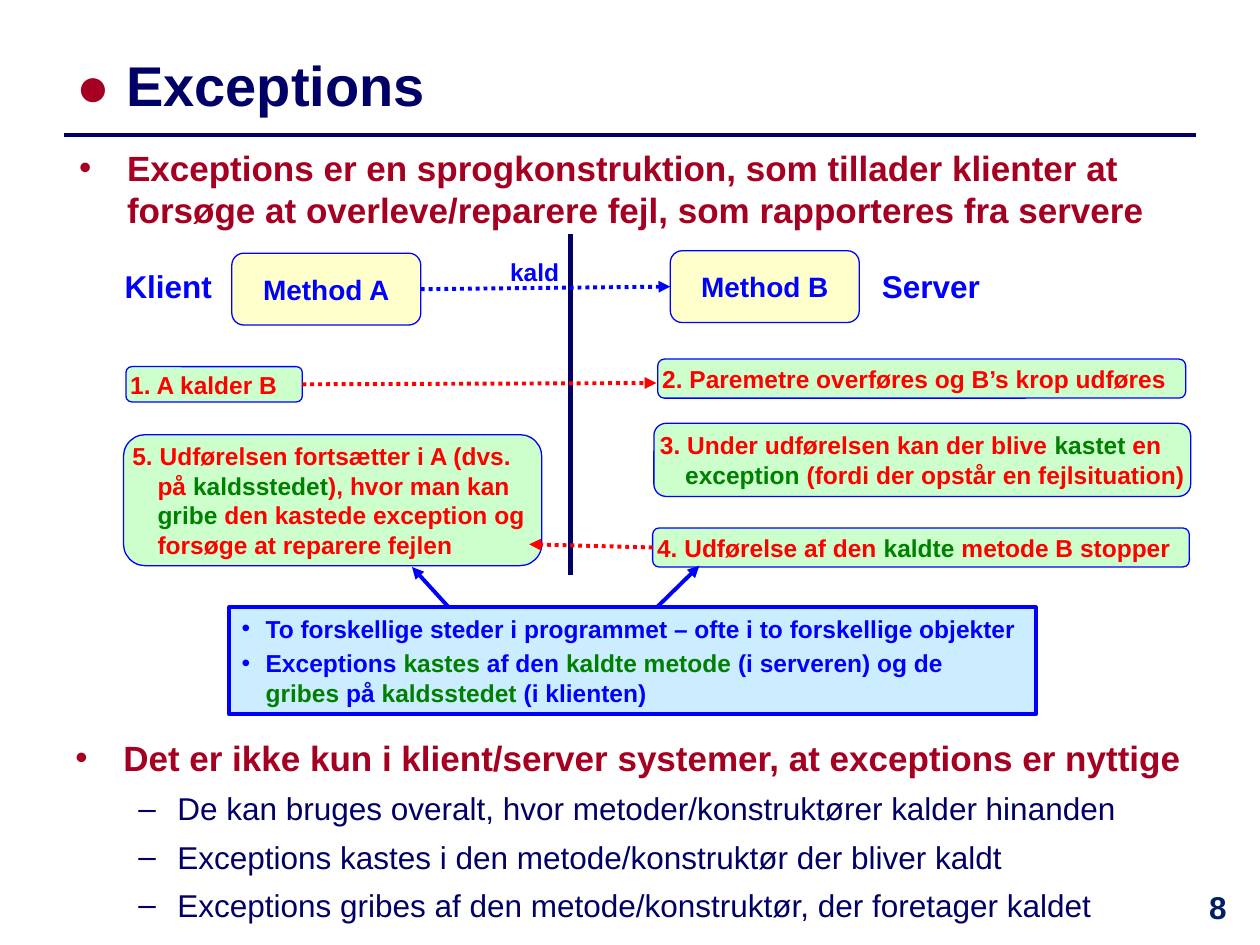
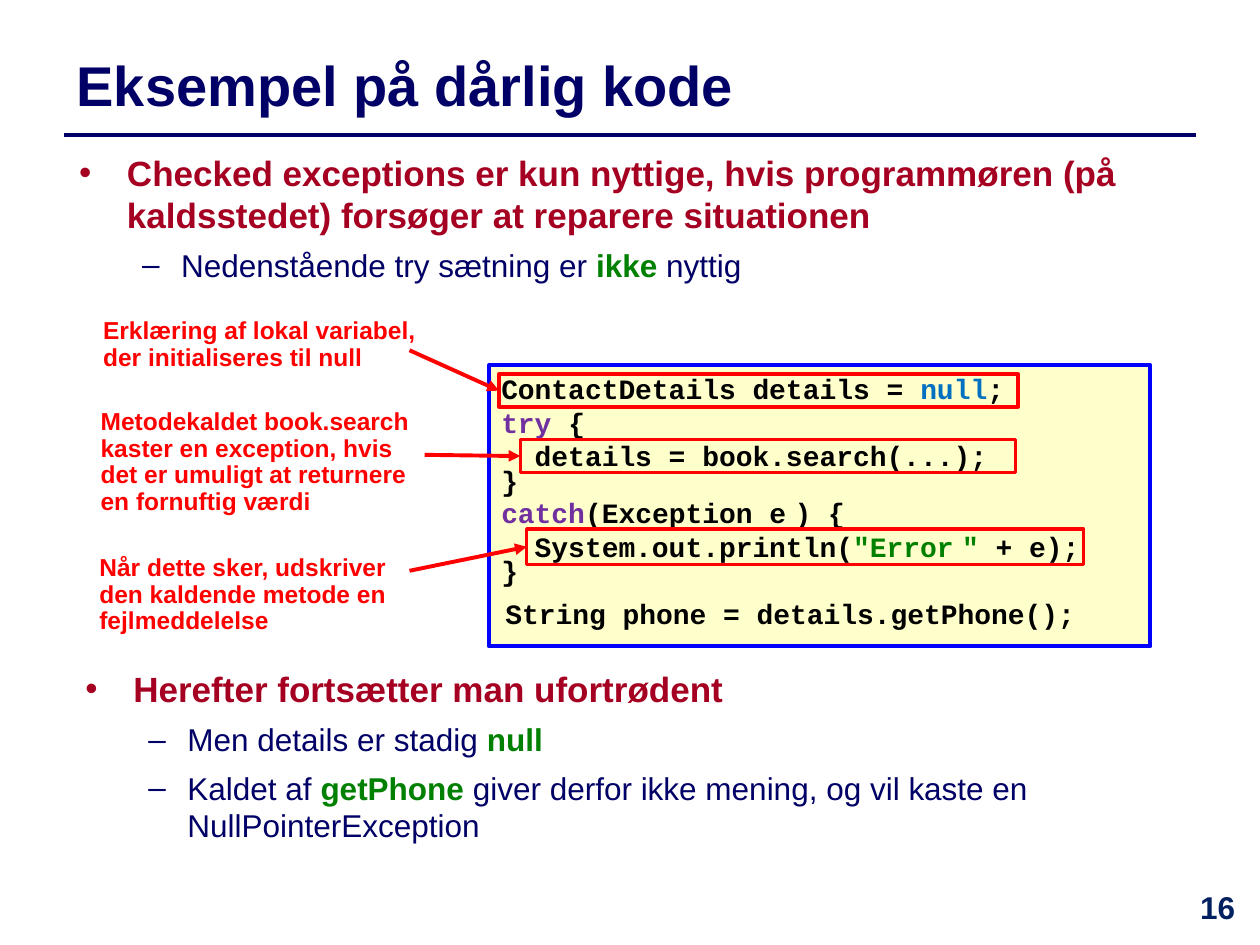
from lxml.etree import SubElement
from pptx import Presentation
from pptx.dml.color import RGBColor
from pptx.enum.dml import MSO_LINE
from pptx.enum.shapes import MSO_CONNECTOR, MSO_SHAPE
from pptx.enum.text import MSO_ANCHOR, PP_ALIGN
from pptx.oxml.ns import qn
from pptx.util import Inches, Pt

THEME = {
    "colours": {
        "navy": "000066", "number": "002060", "crimson": "A50021", "blue": "0000FF",
        "red": "FF0000", "green": "008000", "black": "000000", "null": "0070C0",
        "keyword": "7030A0", "mint": "CCFFCC", "cream": "FFFFCC", "sky": "CCECFF",
    },
    "fonts": {"body": "Arial", "code": "Courier New"},
    # Each style: size, colour, bold, then paragraph settings
    "styles": {
        "title": {"size": 32, "colour": "navy", "bold": True},
        "number": {"size": 18, "colour": "number", "bold": True, "align": PP_ALIGN.CENTER},
        "point": {"size": 20, "colour": "crimson", "bold": True, "before": 12,
                  "indent": (0.38, -0.38), "bullet": "•"},
        "sub": {"size": 18, "colour": "navy", "bold": False, "before": 6,
                "indent": (0.81, -0.31), "bullet": "–"},
        "note": {"size": 14, "colour": "blue", "bold": True, "before": 3,
                 "indent": (0.19, -0.19), "bullet": "•"},
        "step": {"size": 14, "colour": "red", "bold": True, "indent": (0.2, -0.2)},
        "method": {"size": 16, "colour": "blue", "bold": True, "align": PP_ALIGN.CENTER},
        "role": {"size": 18, "colour": "blue", "bold": True},
        "call": {"size": 14, "colour": "blue", "bold": True},
        "callout": {"size": 14, "colour": "red", "bold": True, "spacing": 0.9},
        "code": {"size": 16, "colour": "black", "bold": True, "font": "code"},
        "brace": {"size": 16, "colour": "black", "bold": True, "font": "code", "spacing": 0.7},
        "after": {"size": 16, "colour": "black", "bold": True, "font": "code", "before": 6},
    },
    # Overrides for single spans
    "spans": {
        "bullet": {"colour": "crimson"},
        "green": {"colour": "green", "bold": True},
        "null": {"colour": "null"},
        "keyword": {"colour": "keyword"},
        "thin": {"size": 8},
        "hair": {"size": 4},
    },
}

# A paragraph is (style, span, span ...); a span is text or (text, override).
EXCEPTIONS = {
    "title": ("title", ("● ", "bullet"), "Exceptions"),
    "number": "8",
    "lists": [
        ((0.53, 1.11, 9.19, 0.77), [
            ("point", "Exceptions er en sprogkonstruktion, som tillader klienter at forsøge "
                      "at overleve/reparere fejl, som rapporteres fra servere")]),
        ((0.5, 5.8, 9.19, 1.73), [
            ("point", "Det er ikke kun i klient/server systemer, at exceptions er nyttige"),
            ("sub", "De kan bruges overalt, hvor metoder/konstruktører kalder hinanden"),
            ("sub", "Exceptions kastes i den metode/konstruktør der bliver kaldt"),
            ("sub", "Exceptions gribes af den metode/konstruktør, der foretager kaldet")]),
    ],
}
LABELS = [
    ((0.89, 2.07, 0.93, 0.4), ("role", "Klient")),
    ((6.9, 2.07, 1.01, 0.4), ("role", "Server")),
    ((3.95, 1.99, 0.63, 0.34), ("call", "kald")),
]
METHODS = [
    ((1.84, 2.01, 1.5, 0.57), ("method", "Method A")),
    ((5.32, 1.99, 1.5, 0.57), ("method", "Method B")),
]
STEPS = [
    ((1, 2.91, 1.4, 0.28), ("step", "1. A kalder B")),
    ((5.22, 2.85, 4.19, 0.31), ("step", "2. Paremetre overføres og B’s krop udføres")),
    ((5.19, 3.36, 4.26, 0.58), (
        "step", "3. Under udførelsen kan der blive ", ("kastet", "green"), " en ",
        ("exception", "green"), " (fordi der opstår en fejlsituation)")),
    ((5.18, 4.19, 4.26, 0.31), (
        "step", "4. Udførelse af den ", ("kaldte", "green"), " metode B stopper")),
    ((0.98, 3.45, 3.32, 1.04), (
        "step", "5. Udførelsen fortsætter i A (dvs. på ", ("kaldsstedet", "green"),
        "), hvor man kan ", ("gribe", "green"),
        " den kastede exception og forsøge at reparere fejlen")),
]
DIVIDER = ((4.53, 1.86), (4.53, 4.56))
NOTE_ARROWS = [((5.07, 4.96), (5.55, 4.49)), ((3.68, 4.95), (3.27, 4.5))]
NOTE = ((1.82, 4.82, 6.4, 0.85), [
    ("note", "To forskellige steder i programmet – ofte i to forskellige objekter"),
    ("note", "Exceptions ", ("kastes", "green"), " af den ", ("kaldte metode", "green"),
     " (i serveren) og de ", ("gribes", "green"), " på ", ("kaldsstedet", "green"),
     " (i klienten)"),
])

BAD_CODE = {
    "title": ("title", "Eksempel på dårlig kode"),
    "number": "16",
    "lists": [
        ((0.53, 1.15, 8.96, 1.18), [
            ("point", "Checked exceptions er kun nyttige, hvis programmøren (på kaldsstedet) "
                      "forsøger at reparere situationen"),
            ("sub", "Nedenstående try sætning er ", ("ikke ", "green"), "nyttig")]),
        ((0.58, 5.25, 8.96, 1.18), [
            ("point", "Herefter fortsætter man ufortrødent"),
            ("sub", "Men details er stadig ", ("null", "green")),
            ("sub", "Kaldet af ", ("getPhone", "green"),
             " giver derfor ikke mening, og vil kaste en NullPointerException")]),
    ],
}
CODE = ((3.88, 2.9, 5.25, 2.23), [
    ("code", "ContactDetails details = ", ("null", "null"), ";"),
    ("code", ("try", "keyword"), " {"),
    ("code", "  details = book.search(...);"),
    ("brace", "}"),
    ("code", ("catch", "keyword"), "(Exception e", (" ", "thin"), ") {"),
    ("code", "  System.out.println(", ('"Error', "green"), (" ", "thin"), ('"', "green"),
     " + e);"),
    ("brace", "}"),
    ("after", (" ", "hair"), "String phone = details.getPhone();"),
])
# Callout box, its text, arrow start, highlighted code line
CALLOUTS = [
    ((0.72, 2.48, 2.86, 0.53), "Erklæring af lokal variabel, der initialiseres til null",
     (3.25, 2.78), (3.96, 2.97, 4.12, 0.26)),
    ((0.7, 3.2, 2.65, 0.95), "Metodekaldet book.search kaster en exception, hvis det er "
     "umuligt at returnere en fornuftig værdi", (3.37, 3.61), (4.13, 3.49, 3.93, 0.26)),
    ((0.69, 4.36, 2.52, 0.74), "Når dette sker, udskriver den kaldende metode en "
     "fejlmeddelelse", (3.25, 4.53), (4.18, 4.2, 4.42, 0.28)),
]


def inches(values):
    return [Inches(value) for value in values]


def colour(name):
    return RGBColor.from_string(THEME["colours"][name])


def write(frame, paragraphs, anchor=MSO_ANCHOR.TOP, margins=None):
    """Fill a text frame; margins are left, top, right, bottom in inches."""
    frame.word_wrap = True
    frame.vertical_anchor = anchor
    for side, value in zip(("left", "top", "right", "bottom"), margins or ()):
        setattr(frame, f"margin_{side}", Inches(value))
    for index, (style_name, *spans) in enumerate(paragraphs):
        style = THEME["styles"][style_name]
        para = frame.paragraphs[0] if index == 0 else frame.add_paragraph()
        settings = {
            "alignment": style.get("align", PP_ALIGN.LEFT),
            "line_spacing": style.get("spacing"),
            "space_before": Pt(style.get("before", 0) if index else 0),
        }
        for name, value in settings.items():
            setattr(para, name, value)
        indent_and_bullet(para, style)
        for span in spans:
            text, override = (span, None) if isinstance(span, str) else span
            add_span(para, text, {**style, **THEME["spans"].get(override, {})})


def indent_and_bullet(para, style):
    properties = para._p.get_or_add_pPr()
    if "indent" in style:
        for name, value in zip(("marL", "indent"), style["indent"]):
            properties.set(name, str(Inches(value)))
    if "bullet" in style:
        SubElement(properties, qn("a:buFont")).set("typeface", THEME["fonts"]["body"])
        SubElement(properties, qn("a:buChar")).set("char", style["bullet"])


def add_span(para, text, style):
    span = para.add_run()
    span.text = text
    span.font.color.rgb = colour(style["colour"])
    settings = {"name": THEME["fonts"][style.get("font", "body")],
                "size": Pt(style["size"]), "bold": style["bold"]}
    for name, value in settings.items():
        setattr(span.font, name, value)


def add_text(page, place, paragraphs, **options):
    write(page.shapes.add_textbox(*inches(place)).text_frame, paragraphs, **options)


def add_box(page, place, fill, line, width, kind=MSO_SHAPE.RECTANGLE):
    box = page.shapes.add_shape(kind, *inches(place))
    box.shadow.inherit = False
    if fill:
        box.fill.solid()
        box.fill.fore_color.rgb = colour(fill)
    else:
        box.fill.background()
    box.line.color.rgb = colour(line)
    box.line.width = Pt(width)
    return box


def add_line(page, start, end, line, width=2.25, arrow=True, dotted=False):
    """Draw a line; an end is a point, or a (box, side) pair to join."""
    points = [(0, 0) if hasattr(point[0], "text_frame") else point for point in (start, end)]
    link = page.shapes.add_connector(MSO_CONNECTOR.STRAIGHT, *inches(points[0] + points[1]))
    for point, join in ((start, link.begin_connect), (end, link.end_connect)):
        if hasattr(point[0], "text_frame"):
            join(*point)
    link.line.color.rgb = colour(line)
    link.line.width = Pt(width)
    if dotted:
        link.line.dash_style = MSO_LINE.ROUND_DOT
    if arrow:
        SubElement(link.line._get_or_add_ln(), qn("a:tailEnd")).set("type", "triangle")
    SubElement(link._element.spPr, qn("a:effectLst"))


def add_page(deck, content):
    page = deck.slides.add_slide(deck.slide_layouts[6])
    add_line(page, (0.51, 1.07), (9.49, 1.07), "navy", 2, arrow=False)
    add_text(page, (0.51, 0.29, 8.98, 0.75), [content["title"]], anchor=MSO_ANCHOR.MIDDLE)
    add_text(page, (9.33, 7, 0.67, 0.5), [("number", content["number"])])
    for place, paragraphs in content["lists"]:
        add_text(page, place, paragraphs)
    return page


def add_rounded(page, items, fill, margins):
    boxes = []
    for place, para in items:
        box = add_box(page, place, fill, "blue", 0.75, MSO_SHAPE.ROUNDED_RECTANGLE)
        write(box.text_frame, [para], MSO_ANCHOR.MIDDLE, margins)
        boxes.append(box)
    return boxes


def build_exceptions(deck):
    page = add_page(deck, EXCEPTIONS)
    add_line(page, *DIVIDER, "navy", 3, arrow=False)
    client, server = add_rounded(page, METHODS, "cream", (0, 0, 0, 0))
    steps = add_rounded(page, STEPS, "mint", (0.02, 0, 0, 0))
    for place, para in LABELS:
        add_text(page, place, [para])
    for start, end in NOTE_ARROWS:
        add_line(page, start, end, "blue")
    place, paragraphs = NOTE
    write(add_box(page, place, "sky", "blue", 2.25).text_frame, paragraphs)
    add_line(page, (client, 3), (server, 1), "blue", dotted=True)
    add_line(page, (steps[0], 3), (5.21, 3.04), "red", dotted=True)
    add_line(page, (steps[3], 1), (4.2, 4.32), "red", dotted=True)


def build_bad_code(deck):
    page = add_page(deck, BAD_CODE)
    place, paragraphs = CODE
    write(add_box(page, place, "cream", "blue", 2.25).text_frame, paragraphs,
          margins=(0.1, 0.05, 0.1, 0.1))
    for place, text, start, highlighted in CALLOUTS:
        add_text(page, place, [("callout", text)])
        frame = add_box(page, highlighted, None, "red", 2)
        add_line(page, start, (frame, 1), "red")


def main():
    deck = Presentation()
    deck.slide_width, deck.slide_height = inches((10, 7.5))
    build_exceptions(deck)
    build_bad_code(deck)
    deck.save("out.pptx")


if __name__ == "__main__":
    main()
